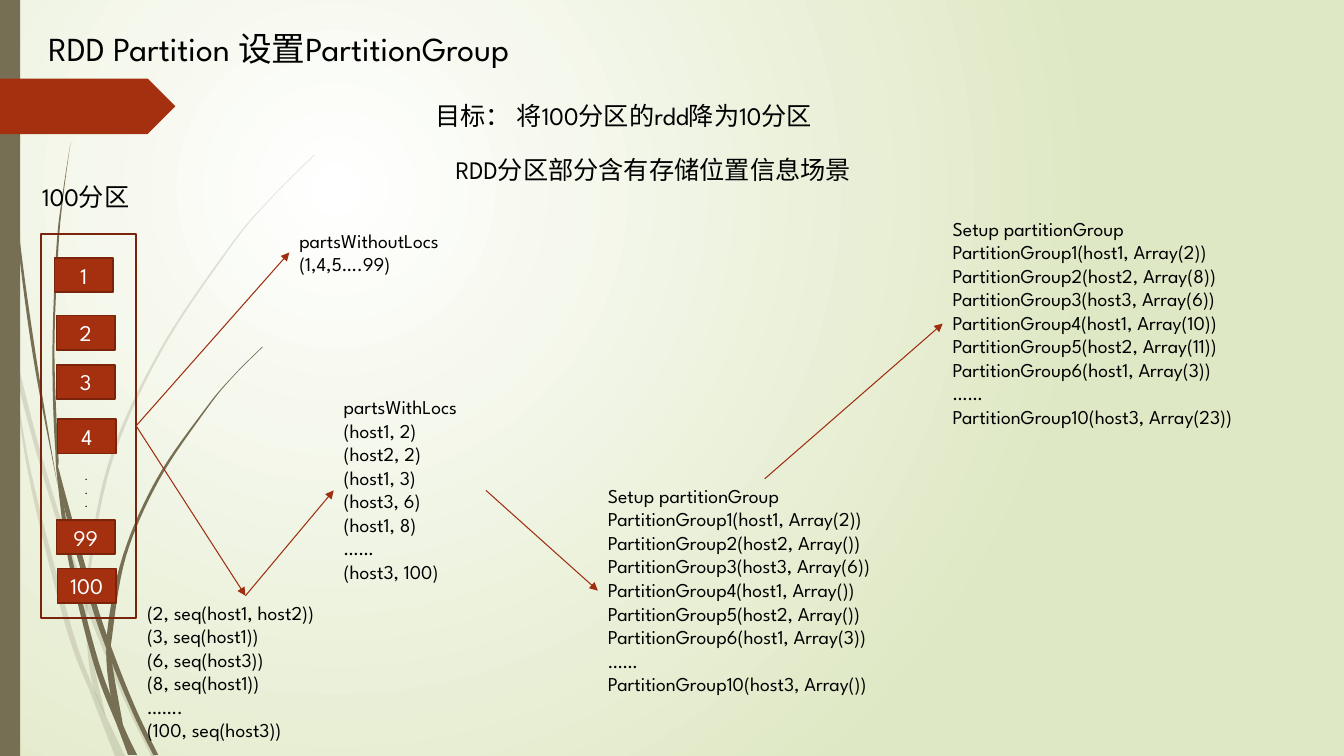
from pptx import Presentation
from pptx.dml.color import RGBColor
from pptx.enum import shapes, text
from pptx.oxml import parse_xml
from pptx.oxml.ns import nsdecls
from pptx.oxml.xmlchemy import OxmlElement
from pptx.util import Inches, Pt

OLIVE = RGBColor(0x76, 0x6F, 0x54)
RUST = RGBColor(0xA5, 0x30, 0x10)
DARK_RUST = RGBColor(0x7A, 0x24, 0x0C)
ARROW = RGBColor(0x9E, 0x2E, 0x0F)
WHITE = RGBColor(0xFF, 0xFF, 0xFF)
BLACK = RGBColor(0, 0, 0)
FONT = "League Spartan"

TITLE = "RDD Partition 设置PartitionGroup"
HOSTS = {1: "host1", 2: "host2", 3: "host3", 4: "host1", 5: "host2", 6: "host1", 10: "host3"}
EARLY_ARRAYS = {1: "2", 3: "6", 6: "3"}
FULL_ARRAYS = {1: "2", 2: "8", 3: "6", 4: "10", 5: "11", 6: "3", 10: "23"}


def group_lines(arrays):
    """List the partition groups with the array held by each."""
    rows = [f"PartitionGroup{n}({host}, Array({arrays.get(n, '')}))" for n, host in HOSTS.items()]
    return ["Setup partitionGroup", *rows[:-1], "……", rows[-1]]


NOTES = {
    "dots": ((0.74, 4.61, 0.25, 0.5), 8, [".", ".", "."]),
    "count": ((0.32, 1.75, 1.3, 0.4), 18, ["100分区"]),
    "goal": ((4.22, 0.95, 4.17, 0.4), 18, ["目标： 将100分区的rdd降为10分区"]),
    "scene": ((4.42, 1.48, 4.26, 0.4), 18, ["RDD分区部分含有存储位置信息场景"]),
    "without": ((2.87, 2.22, 1.82, 0.57), 14, ["partsWithoutLocs", "(1,4,5….99)"]),
    "with": ((3.31, 3.87, 1.51, 1.99), 14,
             ["partsWithLocs", "(host1, 2)", "(host2, 2)", "(host1, 3)", "(host3, 6)",
              "(host1, 8)", "……", "(host3, 100)"]),
    "seq": ((1.36, 5.91, 2.15, 1.51), 14,
            ["(2, seq(host1, host2))", "(3, seq(host1))", "(6, seq(host3))",
             "(8, seq(host1))", "…….", "(100, seq(host3))"]),
    "early": ((5.93, 4.75, 3.31, 2.22), 14, group_lines(EARLY_ARRAYS)),
    "full": ((9.35, 2.1, 3.42, 2.22), 14, group_lines(FULL_ARRAYS)),
}
PARTITIONS = [("1", 0.54, 2.56), ("2", 0.56, 3.13), ("3", 0.56, 3.62),
              ("4", 0.57, 4.16), ("99", 0.56, 5.16), ("100", 0.57, 5.64)]
TOP, LEFT, RIGHT = 0, 1, 3
ARROWS = [("frame", RIGHT, "without", LEFT), ("with", RIGHT, "early", LEFT),
          ("frame", RIGHT, "seq", TOP), ("seq", TOP, "with", LEFT), ("early", TOP, "full", LEFT)]

PALE_WISPS = [
    ([(0.14, 3.45), (0.17, 3.76), (0.36, 4.49), (0.58, 5.22), (0.84, 5.99), (1.23, 6.94), (1.5, 7.5)],
     [(0.14, 3.45), (0.36, 4.33), (0.62, 5.2), (0.85, 5.86), (1.27, 6.92), (1.55, 7.5)]),
    ([(0, 2.99), (0.1, 3.44), (0.28, 4.7), (0.65, 6.21), (0.92, 6.93), (1.14, 7.5)],
     [(0, 2.82), (0.11, 3.5), (0.31, 4.69), (0.7, 6.19), (0.93, 6.83), (1.24, 7.5)]),
    ([(3.12, 1.53), (2.68, 1.97), (2.28, 2.44), (1.58, 3.48), (1.07, 4.61), (0.85, 5.84),
      (0.87, 6.46), (0.93, 6.83), (1.05, 7.11)],
     [(3.12, 1.54), (2.68, 1.98), (2.29, 2.45), (1.6, 3.49), (1.1, 4.62), (0.88, 5.84),
      (0.91, 6.46), (1.05, 7.11)]),
]
SOLID_WISPS = [
    ([(0.03, 0), (0.04, 0.48), (0.07, 1.1), (0.17, 2.33), (0.33, 3.55), (0.57, 4.81)],
     [(0.04, 0), (0.05, 0.48), (0.08, 1.09), (0.19, 2.32), (0.36, 3.55), (0.57, 4.81)]),
    ([(0.7, 1.41), (0.62, 1.93), (0.56, 2.45), (0.52, 3.49), (0.55, 4.49), (0.64, 5.05),
      (0.88, 5.92), (1.06, 6.45), (1.32, 7.08), (1.52, 7.49)],
     [(0.7, 1.41), (0.63, 1.93), (0.58, 2.45), (0.54, 3.49), (0.58, 4.53), (0.6, 4.72),
      (0.93, 5.9), (1.13, 6.49), (1.36, 7.06), (1.57, 7.49)]),
    ([(0.55, 4.49), (0.57, 4.77), (0.68, 5.57), (0.93, 6.59), (1.17, 7.22), (1.27, 7.49)],
     [(0.55, 4.49), (0.64, 5.05), (0.72, 5.56), (0.98, 6.57), (1.22, 7.19), (1.36, 7.49)]),
    ([(2.6, 3.44), (2.31, 3.73), (2.04, 4.05), (1.56, 4.74), (1.22, 5.51), (1.06, 6.31),
      (1.1, 6.91), (1.22, 7.19)],
     [(2.61, 3.44), (2.31, 3.74), (2.05, 4.06), (1.58, 4.76), (1.25, 5.52), (1.11, 6.33),
      (1.11, 6.56), (1.22, 7.19)]),
]
BACKGROUND = f"""<p:bg {nsdecls('p', 'a')}><p:bgPr><a:gradFill rotWithShape="1"><a:gsLst>
<a:gs pos="0"><a:srgbClr val="FFFFFF"/></a:gs><a:gs pos="100000"><a:srgbClr val="DFE8C4"/></a:gs>
</a:gsLst><a:path path="circle"><a:fillToRect l="50000" t="50000" r="100000" b="100000"/></a:path>
</a:gradFill><a:effectLst/></p:bgPr></p:bg>"""


def smooth(knots, steps=8):
    """Return points of a Catmull-Rom curve through the knots."""
    padded = [knots[0], *knots, knots[-1]]
    points = []
    for a, b, c, d in zip(padded, padded[1:], padded[2:], padded[3:]):
        for t in (i / steps for i in range(steps)):
            points.append(tuple(
                (2 * q + (r - p) * t + (2 * p - 5 * q + 4 * r - w) * t ** 2
                 + (3 * q - p - 3 * r + w) * t ** 3) / 2
                for p, q, r, w in zip(a, b, c, d)))
    return points + [knots[-1]]


def paint(sp, fill=None, line=None):
    """Set the fill and outline of a shape and drop its shadow."""
    sp.shadow.inherit = False
    if fill is None:
        sp.fill.background()
    else:
        sp.fill.solid()
        sp.fill.fore_color.rgb = fill
    if line is None:
        sp.line.fill.background()
    else:
        sp.line.color.rgb = line
        sp.line.width = Pt(1.25)
    return sp


def add_wisp(s, left, right, alpha=None):
    """Draw one grass blade between its two edges."""
    outline = [(Inches(x), Inches(y)) for x, y in smooth(left) + smooth(right)[::-1]]
    fb = s.shapes.build_freeform(*outline[0])
    fb.add_line_segments(outline[1:], close=True)
    sp = paint(fb.convert_to_shape(), OLIVE)
    if alpha:
        node = OxmlElement("a:alpha")
        node.set("val", str(alpha * 1000))
        sp.element.spPr.xpath(".//a:srgbClr")[0].append(node)


def add_block(s, kind, box, fill=None, line=None):
    """Add a preset shape."""
    return paint(s.shapes.add_shape(kind, *map(Inches, box)), fill, line)


def write(sp, lines, size, color=BLACK, align=text.PP_ALIGN.LEFT, anchor=text.MSO_ANCHOR.TOP):
    """Put formatted lines in a shape."""
    tf = sp.text_frame
    tf.text = "\n".join(lines)
    tf.word_wrap = True
    tf.auto_size = text.MSO_AUTO_SIZE.NONE
    tf.vertical_anchor = anchor
    for p in tf.paragraphs:
        p.alignment = align
        for r in p.runs:
            r.font.name, r.font.size, r.font.color.rgb = FONT, Pt(size), color


def add_arrow(s, start, start_side, end, end_side):
    """Join two shapes with a thin arrow."""
    cn = s.shapes.add_connector(shapes.MSO_CONNECTOR.STRAIGHT, 0, 0, 0, 0)
    cn.begin_connect(start, start_side)
    cn.end_connect(end, end_side)
    cn.line.color.rgb = ARROW
    cn.line.width = Pt(0.75)
    head = OxmlElement("a:tailEnd")
    head.set("type", "triangle")
    cn.line._get_or_add_ln().append(head)
    cn.element.spPr.append(OxmlElement("a:effectLst"))


def main():
    """Build the partition group slide."""
    prs = Presentation()
    prs.slide_width, prs.slide_height = Inches(13.33), Inches(7.5)
    s = prs.slides.add_slide(prs.slide_layouts[5])
    s.element.cSld.insert(0, parse_xml(BACKGROUND))
    for left, right in PALE_WISPS:
        add_wisp(s, left, right, alpha=20)
    for left, right in SOLID_WISPS:
        add_wisp(s, left, right)
    kinds = shapes.MSO_SHAPE
    add_block(s, kinds.RECTANGLE, (0, 0, 0.2, 7.5), OLIVE)
    add_block(s, kinds.PENTAGON, (0, 0.78, 1.74, 0.55), RUST)

    title = s.shapes.title
    title.left, title.top, title.width, title.height = map(Inches, (0.38, 0.23, 5.45, 0.5))
    write(title, [TITLE], 24)

    placed = {"frame": add_block(s, kinds.RECTANGLE, (0.41, 2.32, 0.94, 3.81), line=DARK_RUST)}
    for label, x, y in PARTITIONS:
        sp = add_block(s, kinds.RECTANGLE, (x, y, 0.58, 0.34), RUST, DARK_RUST)
        write(sp, [label], 16, WHITE, text.PP_ALIGN.CENTER, text.MSO_ANCHOR.MIDDLE)
    for name, (box, size, lines) in NOTES.items():
        placed[name] = s.shapes.add_textbox(*map(Inches, box))
        write(placed[name], lines, size)
    for start, start_side, end, end_side in ARROWS:
        add_arrow(s, placed[start], start_side, placed[end], end_side)
    prs.save("out.pptx")


if __name__ == "__main__":
    main()
